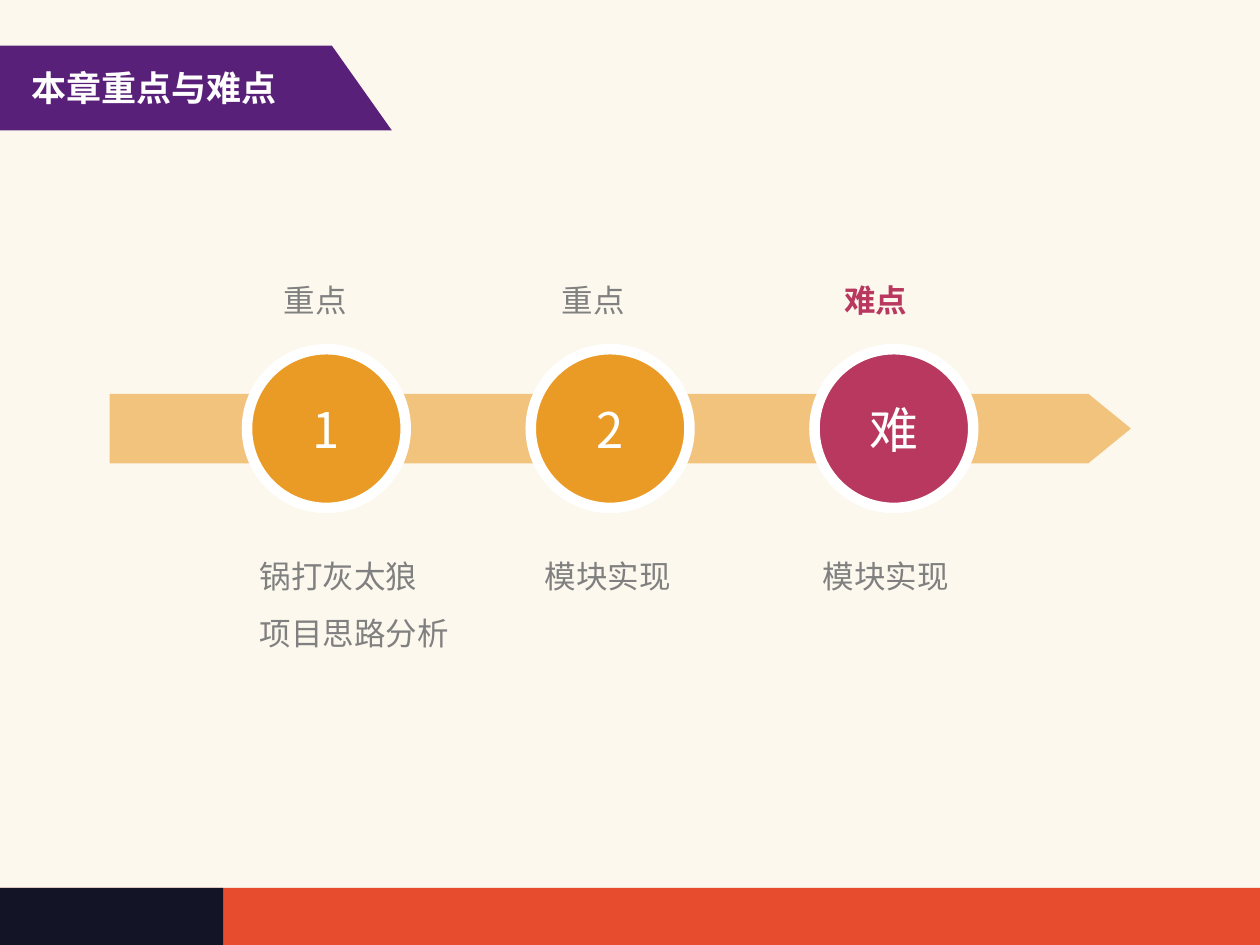
from dataclasses import dataclass

from lxml.etree import SubElement
from pptx import Presentation
from pptx.dml.color import RGBColor
from pptx.enum.shapes import MSO_SHAPE
from pptx.enum.text import MSO_ANCHOR, MSO_AUTO_SIZE, PP_ALIGN
from pptx.oxml.ns import qn
from pptx.util import Cm, Pt


@dataclass(frozen=True)
class Theme:
    font: str = "Noto Sans CJK SC"
    cream: str = "FCF8ED"
    red: str = "E74C2E"
    navy: str = "131426"
    purple: str = "592079"
    sand: str = "F2C37D"
    amber: str = "EA9B26"
    rose: str = "B83860"
    grey: str = "808080"
    white: str = "FFFFFF"
    title: int = 20
    label: int = 18
    mark: int = 28


theme = Theme()


def paint(shape, color):
    shape.shadow.inherit = False
    shape.fill.solid()
    shape.fill.fore_color.rgb = RGBColor.from_string(color)
    shape.line.fill.background()


def write(shapes, text, box, size, color, bold=False, wrap=True, space=None):
    item = shapes.add_textbox(*[Cm(n) for n in box])
    frame = item.text_frame
    frame.text = text
    frame.word_wrap = wrap
    frame.auto_size = MSO_AUTO_SIZE.SHAPE_TO_FIT_TEXT
    frame.margin_left = frame.margin_right = Cm(0.13)
    frame.margin_top = frame.margin_bottom = Cm(0.13)
    for para in frame.paragraphs:
        para.line_spacing = space
        for run in para.runs:
            run.font.size = Pt(size)
            run.font.bold = bold
            run.font.color.rgb = RGBColor.from_string(color)
            run.font.name = theme.font
            # East Asian text takes its own typeface
            east = SubElement(run.font._element, qn("a:ea"))
            east.set("typeface", theme.font)
    return frame


deck = Presentation()
deck.slide_width, deck.slide_height = Cm(25.4), Cm(19.05)
slide = deck.slides.add_slide(deck.slide_layouts[6])
shapes = slide.shapes

# Background and footer bars
slide.background.fill.solid()
slide.background.fill.fore_color.rgb = RGBColor.from_string(theme.cream)
foot = 17.9
for width, color in ((25.4, theme.red), (4.5, theme.navy)):
    bar = shapes.add_shape(MSO_SHAPE.RECTANGLE, 0, Cm(foot), Cm(width), Cm(19.05 - foot))
    paint(bar, color)

# Title banner and timeline arrow
banner = [(0, 0.92), (6.69, 0.92), (7.9, 2.63), (0, 2.63)]
arrow = [(2.21, 7.94), (21.94, 7.94), (22.8, 8.64), (21.94, 9.34), (2.21, 9.34)]
for points, color in ((banner, theme.purple), (arrow, theme.sand)):
    first, *rest = [(Cm(x), Cm(y)) for x, y in points]
    path = shapes.build_freeform(*first)
    path.add_line_segments(rest, close=True)
    paint(path.convert_to_shape(), color)
write(shapes, "本章重点与难点", (0.5, 1.22, 6.58, 1.25), theme.title, theme.white, bold=True)

# Steps: mark, mark height, disc colour, heading, its left, note, its left and size
steps = [
    ("1", 1.45, theme.amber, "重点", 5.59, "锅打灰太狼\n项目思路分析", 5.11, 4.09, 2.46),
    ("2", 1.45, theme.amber, "重点", 11.2, "模块实现", 10.85, 2.82, 1.14),
    ("难", 1.68, theme.rose, "难点", 16.89, "模块实现", 16.46, 2.82, 1.14),
]
left, pitch, disc, mid = 4.98, 5.72, 3.2, 8.64
for i, (mark, tall, color, head, head_x, note, note_x, wide, high) in enumerate(steps):
    x = left + i * pitch

    # Disc with its mark
    group = shapes.add_group_shape()
    ring = group.shapes.add_shape(
        MSO_SHAPE.OVAL, Cm(x), Cm(mid - disc / 2), Cm(disc), Cm(disc))
    paint(ring, color)
    ring.line.color.rgb = RGBColor.from_string(theme.white)
    ring.line.width = Pt(6)
    box = (x + 0.47, mid - tall / 2, 2.26, tall)
    frame = write(group.shapes, mark, box, theme.mark, theme.white)
    frame.vertical_anchor = MSO_ANCHOR.MIDDLE
    frame.paragraphs[0].alignment = PP_ALIGN.CENTER

    # Heading above and note below
    hard = color == theme.rose
    write(shapes, head, (head_x, 5.54, 1.55, 1.14), theme.label,
          theme.rose if hard else theme.grey, bold=hard, wrap=False)
    write(shapes, note, (note_x, 10.72, wide, high), theme.label,
          theme.grey, wrap=False, space=1.5)

deck.save("out.pptx")
